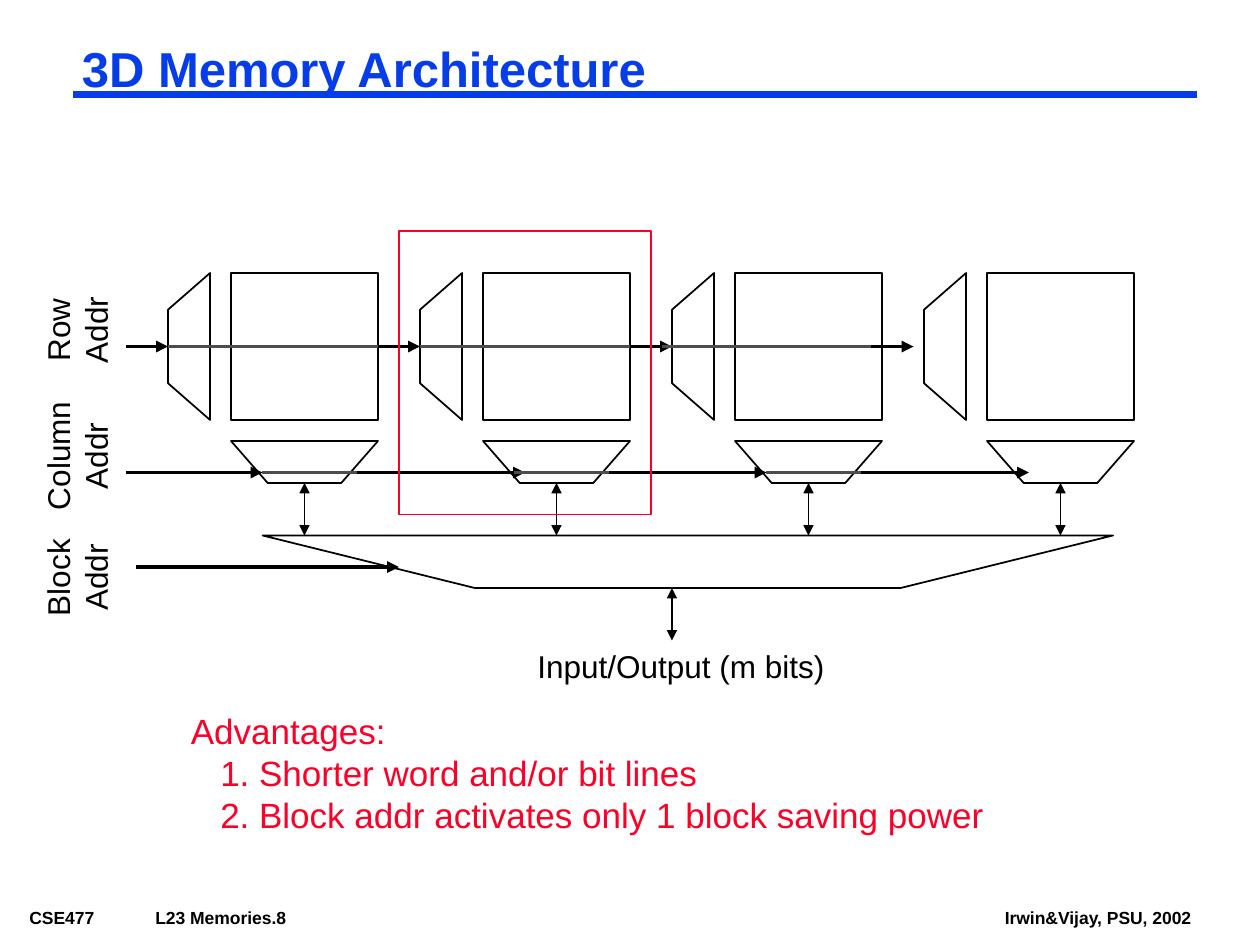
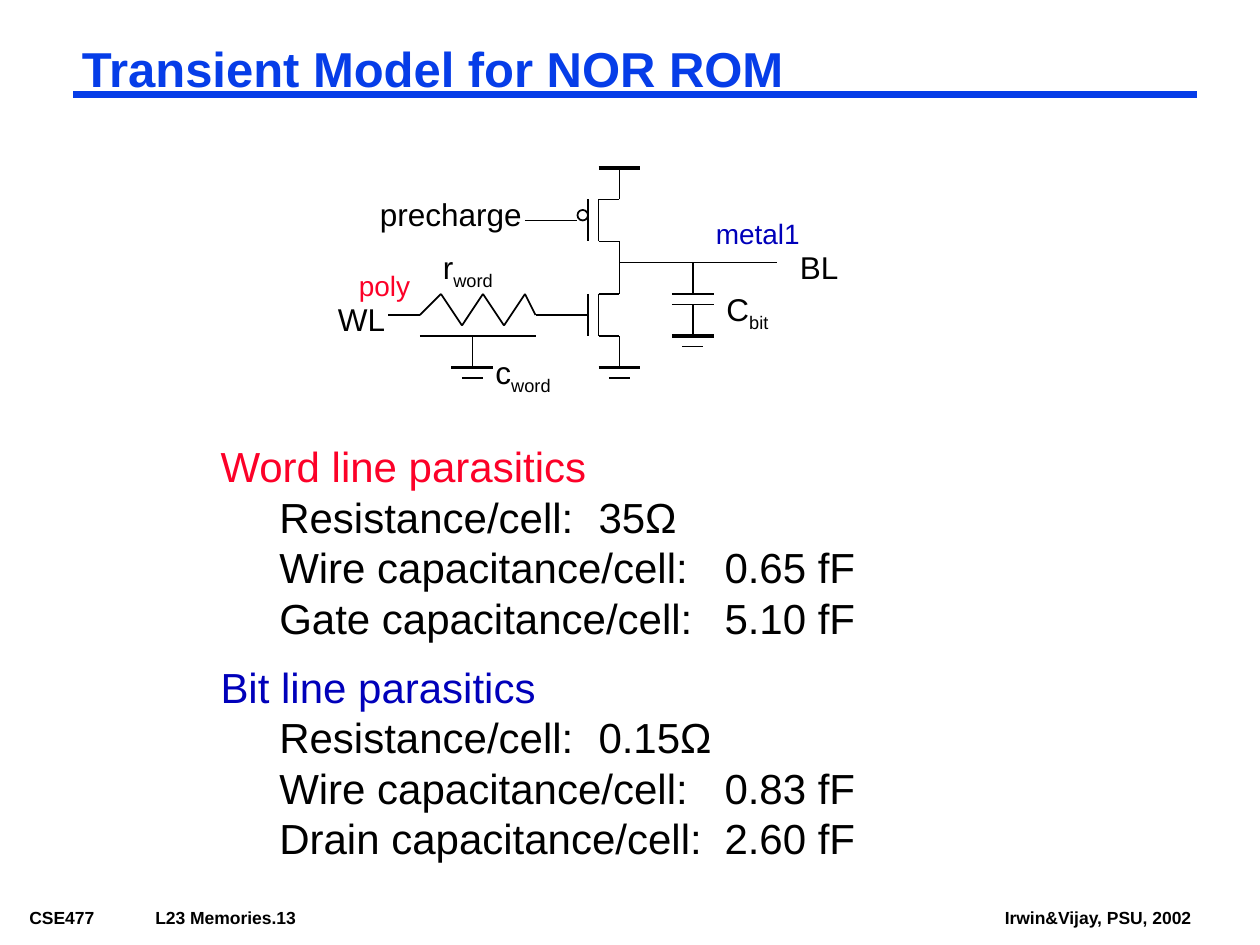
from itertools import pairwise

from lxml.etree import SubElement
from pptx import Presentation
from pptx.dml.color import RGBColor
from pptx.enum.shapes import MSO_CONNECTOR as CONN, MSO_SHAPE as SHAPE
from pptx.enum.text import MSO_ANCHOR as ANCHOR, MSO_AUTO_SIZE as AUTO, PP_ALIGN as ALIGN
from pptx.oxml.ns import qn
from pptx.util import Pt

PX = 7620
BLACK = RGBColor(0x00, 0x00, 0x00)
GRAY = RGBColor(0x4D, 0x4D, 0x4D)
BLUE = RGBColor(0x06, 0x3D, 0xE8)
NAVY = RGBColor(0x00, 0x00, 0xBA)
RED = RGBColor(0xFC, 0x01, 0x28)
TIGHT = (8, 4)
NORMAL = (12, 6)


def add_run(p, text, size=18, color=BLACK, bold=False, sub=False):
    r = p.add_run()
    r.text = text
    r.font.name = "Arial"
    r.font.size = Pt(size)
    r.font.color.rgb = color
    r.font.bold = bold
    if sub:
        r.font._element.set("baseline", "-25000")
    return r


def set_layout(p, margin=0, indent=0, tab=None, numbered=False):
    ppr = p._p.get_or_add_pPr()
    ppr.set("marL", str(margin * PX))
    ppr.set("indent", str(indent * PX))
    if numbered:
        SubElement(ppr, qn("a:buFont"), typeface="+mj-lt")
        SubElement(ppr, qn("a:buAutoNum"), type="arabicPeriod")
    if tab:
        tabs = SubElement(ppr, qn("a:tabLst"))
        SubElement(tabs, qn("a:tab"), pos=str(tab * PX), algn="l")


class Deck:
    def __init__(self):
        self.prs = Presentation()
        self.prs.slide_width = 1200 * PX
        self.prs.slide_height = 900 * PX

    def slide(self, title, number):
        self.s = self.prs.slides.add_slide(self.prs.slide_layouts[5])
        self.shapes = self.s.shapes
        footer = self.text(20, 860, 283, 26, f"CSE477\tL23 Memories.{number}", inset=TIGHT, size=10, bold=True)
        set_layout(footer.paragraphs[0], tab=70)
        self.text(949, 860, 220, 26, "Irwin&Vijay, PSU, 2002", inset=TIGHT, size=10, bold=True)
        self.line(70, 90, 1140, 90, color=BLUE, width=4.5)
        ph = self.s.shapes.title
        ph.left, ph.top, ph.width, ph.height = (v * PX for v in (70, 40, 1070, 55))
        tf = self.frame(ph, TIGHT)
        p = tf.paragraphs[0]
        p.alignment = ALIGN.LEFT
        p.line_spacing = 0.87
        add_run(p, title, size=28, color=BLUE, bold=True)

    def group(self):
        self.shapes = self.s.shapes.add_group_shape().shapes

    def ungroup(self):
        self.shapes = self.s.shapes

    def frame(self, sp, inset):
        tf = sp.text_frame
        tf.word_wrap = True
        tf.auto_size = AUTO.NONE
        tf.vertical_anchor = ANCHOR.TOP
        tf.margin_left = tf.margin_right = inset[0] * PX
        tf.margin_top = tf.margin_bottom = inset[1] * PX
        return tf

    def text(self, x, y, w, h, text="", sub="", inset=NORMAL, rotation=0, align=ALIGN.LEFT, **style):
        sp = self.shapes.add_textbox(x * PX, y * PX, w * PX, h * PX)
        sp.rotation = rotation
        tf = self.frame(sp, inset)
        p = tf.paragraphs[0]
        p.alignment = align
        if text:
            add_run(p, text, **style)
        if sub:
            add_run(p, sub, sub=True, **style)
        return tf

    def items(self, tf, heading, rows, size, color, row_color):
        add_run(tf.paragraphs[0], heading, size=size, color=color)
        for row, layout in rows:
            p = tf.add_paragraph()
            set_layout(p, **layout)
            add_run(p, row, size=size, color=row_color)

    def line(self, x1, y1, x2, y2, color=BLACK, width=1, head=False, tail=False, begin=None, end=None):
        c = self.shapes.add_connector(CONN.STRAIGHT, x1 * PX, y1 * PX, x2 * PX, y2 * PX)
        if begin:
            c.begin_connect(*begin)
        if end:
            c.end_connect(*end)
        c.line.color.rgb = color
        c.line.width = Pt(width)
        ln = c.line._get_or_add_ln()
        for tag, wanted in (("a:headEnd", head), ("a:tailEnd", tail)):
            if wanted:
                SubElement(ln, qn(tag), type="triangle")
        SubElement(c._element.spPr, qn("a:effectLst"))

    def outline(self, sp, color=BLACK):
        sp.shadow.inherit = False
        sp.fill.background()
        sp.line.color.rgb = color
        sp.line.width = Pt(1)
        return sp

    def shape(self, kind, x, y, w, h, color=BLACK):
        return self.outline(self.shapes.add_shape(kind, x * PX, y * PX, w * PX, h * PX), color)

    def polygon(self, start, *points):
        fb = self.shapes.build_freeform(*start, scale=PX)
        fb.add_line_segments(points, close=True)
        return self.outline(fb.convert_to_shape())

    def memory_block(self, x):
        self.group()
        array = self.shape(SHAPE.RECTANGLE, x, 260, 140, 140)
        self.polygon((x - 20, 260), (x - 20, 400), (x - 60, 365), (x - 60, 295))
        self.polygon((x, 420), (x + 140, 420), (x + 105, 460), (x + 35, 460))
        self.ungroup()
        return array

    def transistor(self, top, bubble=False):
        self.group()
        bottom = top + 40
        for x in (560, 570):
            self.line(x, top, x, bottom)
        for y, lead in ((top, top - 30), (bottom, bottom + 30)):
            self.line(570, y, 590, y)
            self.line(590, y, 590, lead)
        if bubble:
            self.shape(SHAPE.OVAL, 550, top + 10, 10, 10)
        self.ungroup()

    def ground(self, x, y):
        self.line(x - 20, y, x + 20, y, width=2.25)
        self.line(x - 10, y + 10, x + 10, y + 10)


def memory_slide(deck):
    deck.slide("3D Memory Architecture", 8)
    arrays = [deck.memory_block(220 + 240 * i) for i in range(4)]
    right = [(array, 3) for array in arrays[:2]]

    for label, y in (("Row Addr", 314), ("Column Addr", 434), ("Block Addr", 550)):
        deck.text(1, y - 42, 144, 84, label, rotation=270, align=ALIGN.CENTER)

    row_starts = ((120, None), (360, right[0]), (600, right[1]), (830, None))
    for x, begin in row_starts:
        deck.line(x, 330, x + 40, 330, width=2.25, tail=True, begin=begin)
    for x, end in ((160, right[0]), (400, right[1]), (630, None)):
        deck.line(x, 330, x + 200, 330, color=GRAY, width=2.25, end=end)

    for x1, x2 in ((120, 250), (340, 500), (570, 730), (820, 980)):
        deck.line(x1, 450, x2, 450, width=2.25, tail=True)
    for x in (250, 490, 730):
        deck.line(x, 450, x + 90, 450, color=GRAY, width=2.25)

    for i in range(4):
        x = 290 + 240 * i
        deck.line(x, 460, x, 510, head=True, tail=True)
    deck.polygon((250, 510), (1060, 510), (858, 560), (452, 560))
    deck.line(130, 540, 380, 540, width=2.25, tail=True)
    deck.line(640, 560, 640, 610, head=True, tail=True)
    deck.text(500, 610, 310, 48, "Input/Output (m bits)")
    deck.shape(SHAPE.RECTANGLE, 380, 220, 240, 270, color=RED)

    numbered = dict(margin=65, indent=-37, numbered=True)
    advantages = ("Shorter word and/or bit lines", "Block addr activates only 1 block saving power")
    tf = deck.text(170, 670, 850, 132)
    deck.items(tf, "Advantages:", [(row, numbered) for row in advantages], 20, RED, RED)


def rom_slide(deck):
    deck.slide("Transient Model for NOR ROM", 13)
    deck.transistor(190, bubble=True)
    deck.transistor(280)
    deck.line(570, 160, 610, 160, width=2.25)
    for x, y in ((590, 350), (660, 320), (450, 350)):
        deck.ground(x, y)

    bit_line = (590, 250, 740, 250)
    bit_capacitor = ((660, 250, 660, 280), (640, 280, 680, 280), (640, 290, 680, 290), (660, 290, 660, 320))
    word_capacitor = ((400, 320, 510, 320), (450, 320, 450, 350))
    precharge = (500, 210, 550, 210)
    for ends in (bit_line, *bit_capacitor, *word_capacitor, precharge):
        deck.line(*ends)

    zigzag = [(420 + 20 * i, 310 if i % 2 else 280) for i in range(5)]
    word_line = [(370, 300), (400, 300), *zigzag, (510, 300), (560, 300)]
    for start, end in pairwise(word_line):
        deck.line(*start, *end)

    labels = (
        (310, 280, 110, "WL", ""), (750, 230, 80, "BL", ""), (680, 270, 80, "C", "bit"),
        (350, 180, 170, "precharge", ""), (460, 330, 110, "c", "word"), (410, 230, 110, "r", "word"),
    )
    for x, y, w, text, sub in labels:
        deck.text(x, y, w, 53 if sub else 48, text, sub)
    deck.text(670, 200, 110, 44, "metal1", size=16, color=NAVY)
    deck.text(330, 250, 80, 44, "poly", size=16, color=RED)

    parasitics = (
        (420, "Word line parasitics", RED,
         (("Resistance", "35Ω", 369), ("Wire capacitance", "0.65 fF", 478), ("Gate capacitance", "5.10 fF", 482))),
        (630, "Bit line parasitics", NAVY,
         (("Resistance", "0.15Ω", 369), ("Wire capacitance", "0.83 fF", 478), ("Drain capacitance", "2.60 fF", 480))),
    )
    for y, heading, color, values in parasitics:
        tf = deck.text(210, y, 740, 192, inset=(0, 0))
        rows = [(f"{name}/cell:\t{value}", dict(indent=56, tab=tab)) for name, value, tab in values]
        deck.items(tf, heading, rows, 24, color, BLACK)


def main():
    deck = Deck()
    memory_slide(deck)
    rom_slide(deck)
    deck.prs.save("out.pptx")


if __name__ == "__main__":
    main()
